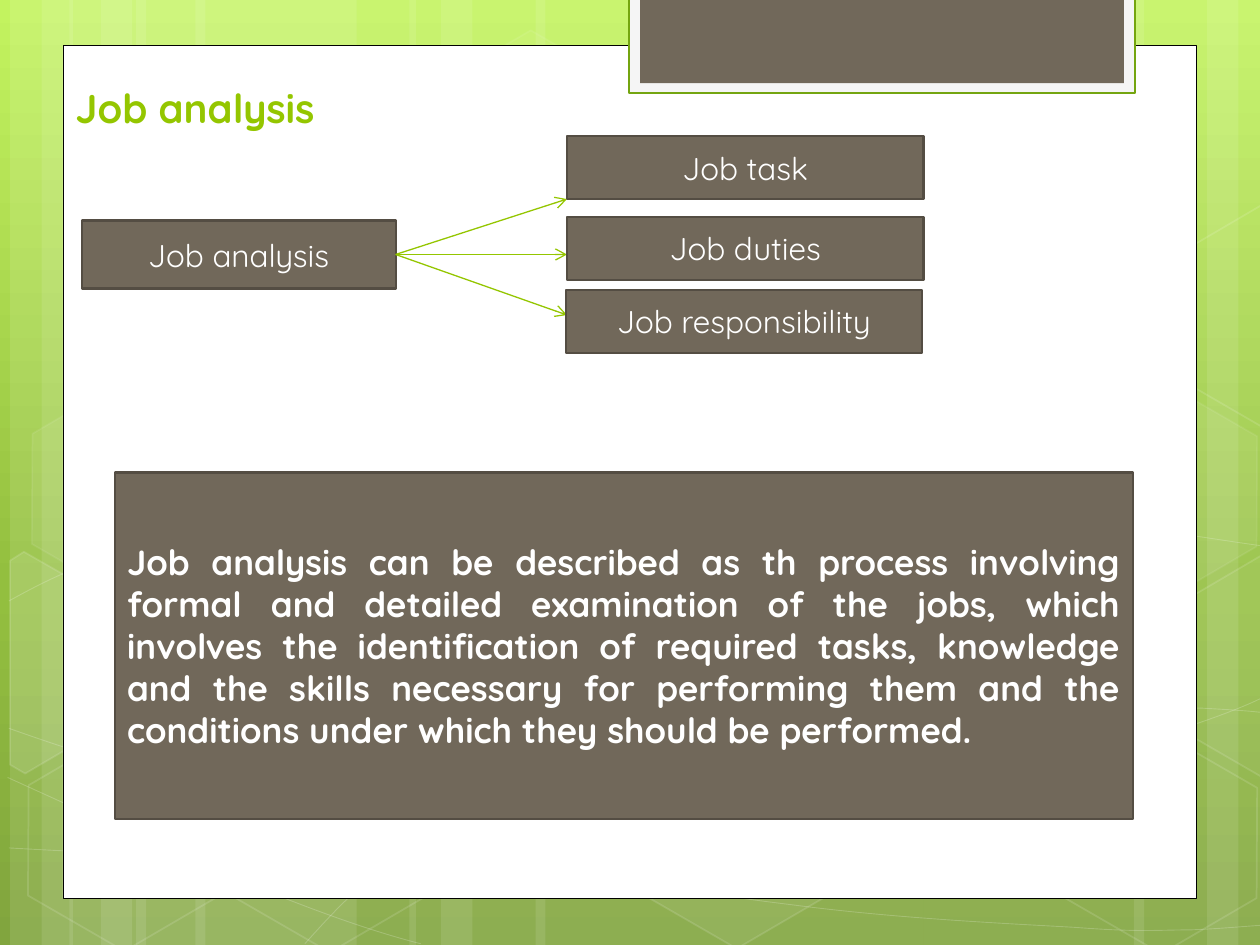
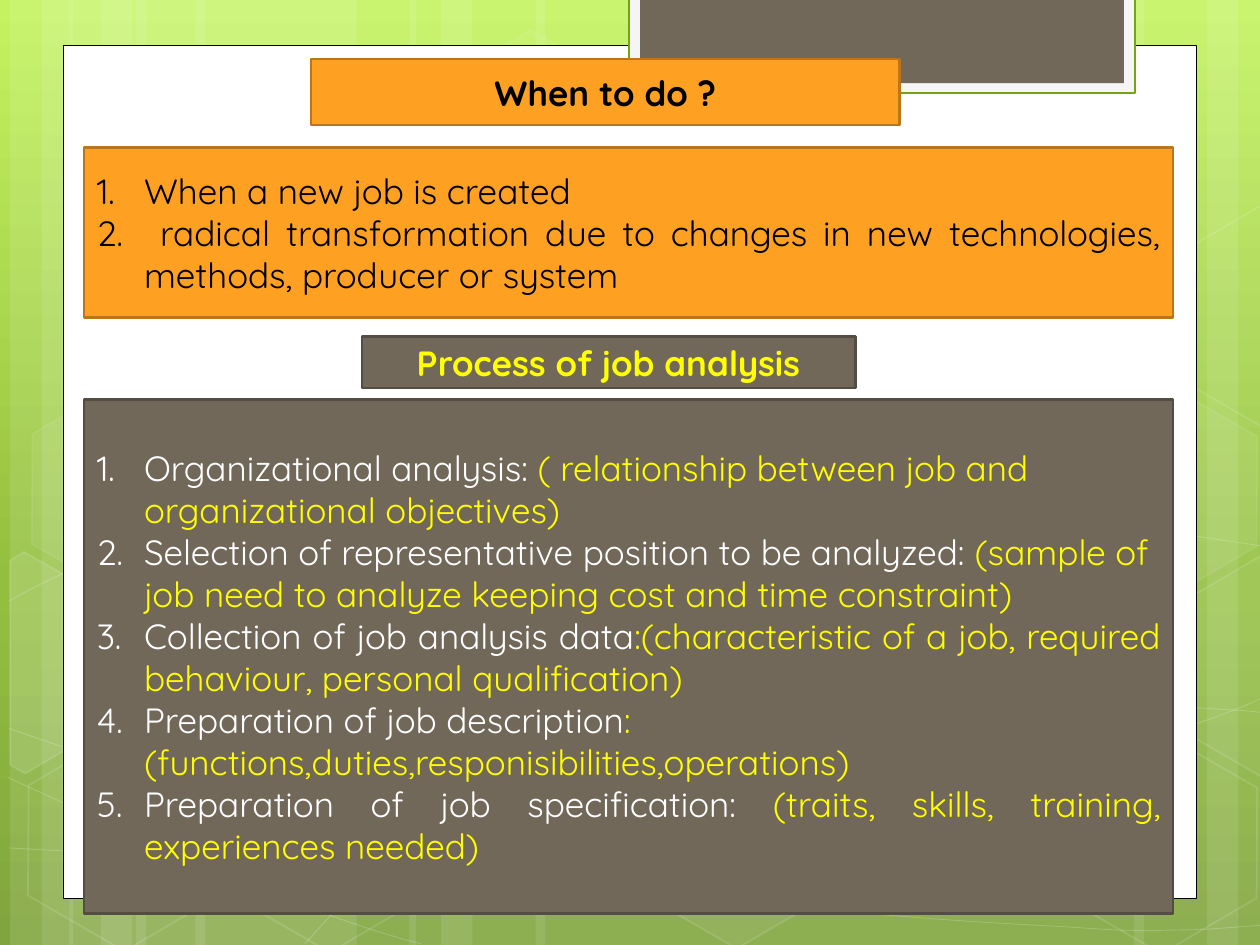
from copy import deepcopy
from dataclasses import dataclass

from lxml import etree
from pptx import Presentation
from pptx.dml.color import RGBColor
from pptx.enum.shapes import MSO_CONNECTOR, MSO_SHAPE
from pptx.enum.text import MSO_ANCHOR, PP_ALIGN
from pptx.oxml.ns import qn
from pptx.util import Emu, Pt

RECTANGLE, HEXAGON = MSO_SHAPE.RECTANGLE, MSO_SHAPE.HEXAGON
STRAIGHT = MSO_CONNECTOR.STRAIGHT
LEFT, CENTER, JUSTIFY = PP_ALIGN.LEFT, PP_ALIGN.CENTER, PP_ALIGN.JUSTIFY
MIDDLE, BOTTOM = MSO_ANCHOR.MIDDLE, MSO_ANCHOR.BOTTOM
RIGHT_SIDE = 3

EMU_PER_PX = 9144  # 100 px to the inch
PAGE_WIDTH, PAGE_HEIGHT = 1000, 750


@dataclass(frozen=True)
class Theme:
    font: str = "Quicksand"
    title_size: int = 23
    body_size: int = 20
    label_size: int = 18
    list_indent: int = 27
    white: str = "FFFFFF"
    black: str = "000000"
    yellow: str = "FFFF00"
    green: str = "94C600"
    dark_green: str = "74A510"
    pale: str = "F5F5F5"
    brown: str = "71685A"
    dark_brown: str = "544D43"
    orange: str = "FEA022"
    dark_orange: str = "BC7619"
    backdrop: tuple = ((0, "C3F35F"), (0.62, "93BF3F"), (1, "81A53E"))


THEME = Theme()


@dataclass(frozen=True)
class Look:
    """Fill and outline of a shape; opacities are in percent."""
    fill: str = None
    edge: str = None
    weight: float = 1.25
    fill_opacity: int = 100
    edge_opacity: int = 100


BROWN = Look(THEME.brown, THEME.dark_brown)
ORANGE = Look(THEME.orange, THEME.dark_orange)
STRIPE = Look(THEME.white, fill_opacity=10)
CURVE = Look(edge=THEME.white, weight=0.5, edge_opacity=20)


def glass(fill_opacity, edge_opacity):
    return Look(THEME.white if fill_opacity else None, THEME.white, 1,
                fill_opacity, edge_opacity)


# (left, width) of the full-height stripes
STRIPES = [(108, 175), (8, 50), (33, 83), (155, 175), (55, 50), (80, 83),
           (733, 175), (958, 50), (900, 83), (425, 308), (325, 50), (350, 83)]

# Start point, then control, control and end point of each cubic segment
CURVES = [
    [(7, 673), (61, 676), (115, 679), (190, 678), (265, 677), (358, 675),
     (458, 665), (558, 655), (700, 636), (792, 617), (883, 598), (977, 568),
     (1007, 551)],
    [(7, 477), (36, 461), (65, 446), (121, 431), (178, 416), (259, 394),
     (347, 387), (436, 380), (544, 379), (654, 387), (764, 395), (947, 426),
     (1007, 434)],
    [(6, 617), (127, 672), (247, 727), (334, 749)],
    [(7, 578), (38, 589), (70, 600), (128, 616), (186, 631), (273, 656),
     (357, 673), (440, 690), (545, 708), (628, 718), (711, 729), (800, 733),
     (853, 736), (905, 740), (919, 738), (945, 738), (971, 737), (989, 735),
     (1007, 734)],
    [(242, 749), (260, 729), (278, 709), (302, 691), (326, 673), (360, 653),
     (388, 639), (416, 625), (433, 619), (470, 609), (506, 599), (573, 585),
     (608, 578), (644, 571), (649, 571), (680, 569), (711, 566), (760, 563),
     (794, 562), (829, 561), (886, 562), (886, 562), (886, 562), (953, 562),
     (953, 562), (971, 563), (988, 564), (997, 565), (1006, 566), (1003, 565),
     (1006, 566)],
]

# (left, top, fill opacity, edge opacity)
HEXAGONS = [(334, 36, 4, 8), (497, 589, 6, 12), (11, 591, 0, 12),
            (14, 312, 7, 8), (174, 592, 0, 12), (753, 453, 10, 12),
            (834, 593, 0, 12), (834, 314, 7, 8)]

# Hexagons cut off by the page edge: (corners, fill opacity)
CUT_HEXAGONS = [
    ([(8, 445), (19, 438), (96, 482), (95, 570), (20, 614), (8, 607)], 10),
    ([(926, 485), (1001, 441), (1009, 446), (1009, 613), (1002, 617), (926, 573)], 4),
    ([(926, 207), (1001, 163), (1010, 168), (1009, 335), (1002, 339), (926, 295)], 0),
]


def px(length):
    return Emu(length * EMU_PER_PX)


def rgb(code):
    return RGBColor.from_string(code)


def set_opacity(parent, percent):
    if percent < 100:
        color = parent.find(qn("a:solidFill")).find(qn("a:srgbClr"))
        etree.SubElement(color, qn("a:alpha"), val=str(percent * 1000))


def apply_look(shape, look):
    shape.shadow.inherit = False
    if look.fill:
        shape.fill.solid()
        shape.fill.fore_color.rgb = rgb(look.fill)
        set_opacity(shape.element.spPr, look.fill_opacity)
    else:
        shape.fill.background()
    if look.edge:
        shape.line.color.rgb = rgb(look.edge)
        shape.line.width = Pt(look.weight)
        set_opacity(shape.line.fill._xPr, look.edge_opacity)
    else:
        shape.line.fill.background()


def add_box(owner, frame, look, kind=RECTANGLE):
    """Add a preset shape to a page or a group."""
    box = owner.shapes.add_shape(kind, *map(px, frame))
    apply_look(box, look)
    box.text_frame.vertical_anchor = MIDDLE
    return box


def add_outline(owner, points, look, close=True):
    builder = owner.shapes.build_freeform(*points[0], scale=EMU_PER_PX)
    builder.add_line_segments(points[1:], close=close)
    outline = builder.convert_to_shape()
    apply_look(outline, look)
    return outline


def add_curve(owner, points, look):
    """Add an open outline and join each three of its lines into a cubic."""
    curve = add_outline(owner, points, look, close=False)
    lines = list(curve.element.iter(qn("a:lnTo")))
    for first in range(0, len(lines), 3):
        cubic = etree.Element(qn("a:cubicBezTo"))
        lines[first].addprevious(cubic)
        for line in lines[first:first + 3]:
            cubic.append(line[0])
            line.getparent().remove(line)


def write(shape, text, color=THEME.white, size=THEME.body_size, bold=False,
          align=LEFT, numbered=False):
    """Add one paragraph; text is a string or a list of (text, color)."""
    frame = shape.text_frame
    frame.word_wrap = True
    para = frame.add_paragraph() if frame.text else frame.paragraphs[0]
    para.alignment = align
    if numbered:
        indent = Pt(THEME.list_indent)
        properties = para._p.get_or_add_pPr()
        properties.set("marL", str(indent))
        properties.set("indent", str(-indent))
        etree.SubElement(properties, qn("a:buAutoNum"), type="arabicPeriod")
    for words, tint in [(text, color)] if isinstance(text, str) else text:
        span = para.add_run()
        span.text = words
        span.font.name = THEME.font
        span.font.size = Pt(size)
        span.font.bold = bold
        span.font.color.rgb = rgb(tint)


def add_arrow(page, source, end):
    """Draw an arrow from the right side of source to a point."""
    begin = source.left + source.width, source.top + source.height // 2
    arrow = page.shapes.add_connector(STRAIGHT, *begin, *map(px, end))
    arrow.begin_connect(source, RIGHT_SIDE)
    arrow.line.color.rgb = rgb(THEME.green)
    arrow.line.width = Pt(0.75)
    etree.SubElement(arrow.line.fill._xPr, qn("a:tailEnd"), type="arrow")
    etree.SubElement(arrow.element.spPr, qn("a:effectLst"))


def add_title(page, text):
    title = page.shapes.add_textbox(*map(px, (50, 56, 900, 53)))
    title.text_frame.vertical_anchor = BOTTOM
    write(title, text, color=THEME.green, size=THEME.title_size, bold=True)


def paint_backdrop(layout):
    fill = layout.background.fill
    fill.gradient()
    fill.gradient_angle = 270
    stop_list = next(layout.element.iter(qn("a:gsLst")))
    stop_list.append(deepcopy(stop_list[-1]))
    for stop, (position, color) in zip(fill.gradient_stops, THEME.backdrop):
        stop.position = position
        stop.color.rgb = rgb(color)


def draw_scenery(page):
    """Draw the stripes, curves and hexagons, the panel and the top tab."""
    pattern = page.shapes.add_group_shape()
    for left, width in STRIPES:
        add_box(pattern, (left, 0, width, PAGE_HEIGHT), STRIPE)
    for points in CURVES:
        add_curve(pattern, points, CURVE)
    for left, top, fill_opacity, edge_opacity in HEXAGONS:
        hexagon = add_box(pattern, (left, top, 175, 152),
                          glass(fill_opacity, edge_opacity), HEXAGON)
        hexagon.adjustments[0] = 0.285
        hexagon.adjustments[1] = 1.155
        hexagon.rotation = 30
    for corners, fill_opacity in CUT_HEXAGONS:
        add_outline(pattern, corners, glass(fill_opacity, 12))
    add_box(page, (50, 36, 900, 677), Look(THEME.white, THEME.black, 0.5))
    add_box(page, (499, -2, 402, 76), Look(THEME.pale, THEME.dark_green))
    add_box(page, (508, -2, 384, 68), Look(THEME.brown))


def add_pages(deck):
    """Add both pages on a blank layout that holds the shared scenery."""
    layout = deck.slide_layouts[6]
    for placeholder in list(layout.placeholders):
        layout.shapes.element.remove(placeholder.element)
    pages = [deck.slides.add_slide(layout) for _ in range(2)]
    paint_backdrop(layout)
    draw_scenery(pages[0])
    for shape in list(pages[0].shapes):
        layout.shapes.element.append(shape.element)
    return pages


def build_definition(page):
    add_title(page, "Job analysis")
    label = {"size": THEME.label_size, "align": CENTER}
    analysis = add_box(page, (65, 175, 249, 54), BROWN)
    write(analysis, "Job analysis", **label)
    for arrow_end in [(450, 158), (450, 202), (450, 250)]:
        add_arrow(page, analysis, arrow_end)
    for left, top, text in [(450, 108, "Job task"), (450, 172, "Job duties"),
                            (449, 230, "Job responsibility")]:
        write(add_box(page, (left, top, 283, 50), BROWN), text, **label)
    definition = add_box(page, (91, 375, 808, 275), BROWN)
    write(definition,
          "Job analysis can be described as th process involving formal and "
          "detailed examination of the jobs, which involves the identification "
          "of required tasks, knowledge and the skills necessary for performing "
          "them and the conditions under which they should be performed.",
          bold=True, align=JUSTIFY)


def build_process(page):
    write(add_box(page, (247, 47, 467, 52), ORANGE), "When to do ?",
          color=THEME.black, bold=True, align=CENTER)
    occasions = add_box(page, (67, 117, 864, 135), ORANGE)
    for text in ["When a new job is created",
                 " radical transformation due to changes in new technologies, "
                 "methods, producer or system"]:
        write(occasions, text, color=THEME.black, align=JUSTIFY, numbered=True)

    write(add_box(page, (287, 267, 392, 41), BROWN), "Process of job analysis",
          color=THEME.yellow, bold=True, align=CENTER)
    process = add_box(page, (67, 317, 864, 408), BROWN)
    steps = [
        (LEFT, "Organizational analysis: ",
         "( relationship between job and organizational objectives)"),
        (LEFT, "Selection of representative position to be analyzed: ",
         "(sample of job need to analyze keeping cost and time constraint)"),
        (JUSTIFY, "Collection of job analysis data",
         ":(characteristic of a job, required behaviour, personal qualification)"),
        (LEFT, "Preparation of job description",
         ":(functions,duties,responisibilities,operations)"),
        (JUSTIFY, "Preparation of job specification: ",
         "(traits, skills, training, experiences needed)"),
    ]
    for align, step, detail in steps:
        write(process, [(step, THEME.white), (detail, THEME.yellow)],
              align=align, numbered=True)


def main():
    deck = Presentation()
    deck.slide_width, deck.slide_height = px(PAGE_WIDTH), px(PAGE_HEIGHT)
    definition_page, process_page = add_pages(deck)
    build_definition(definition_page)
    build_process(process_page)
    deck.save("out.pptx")


if __name__ == "__main__":
    main()
